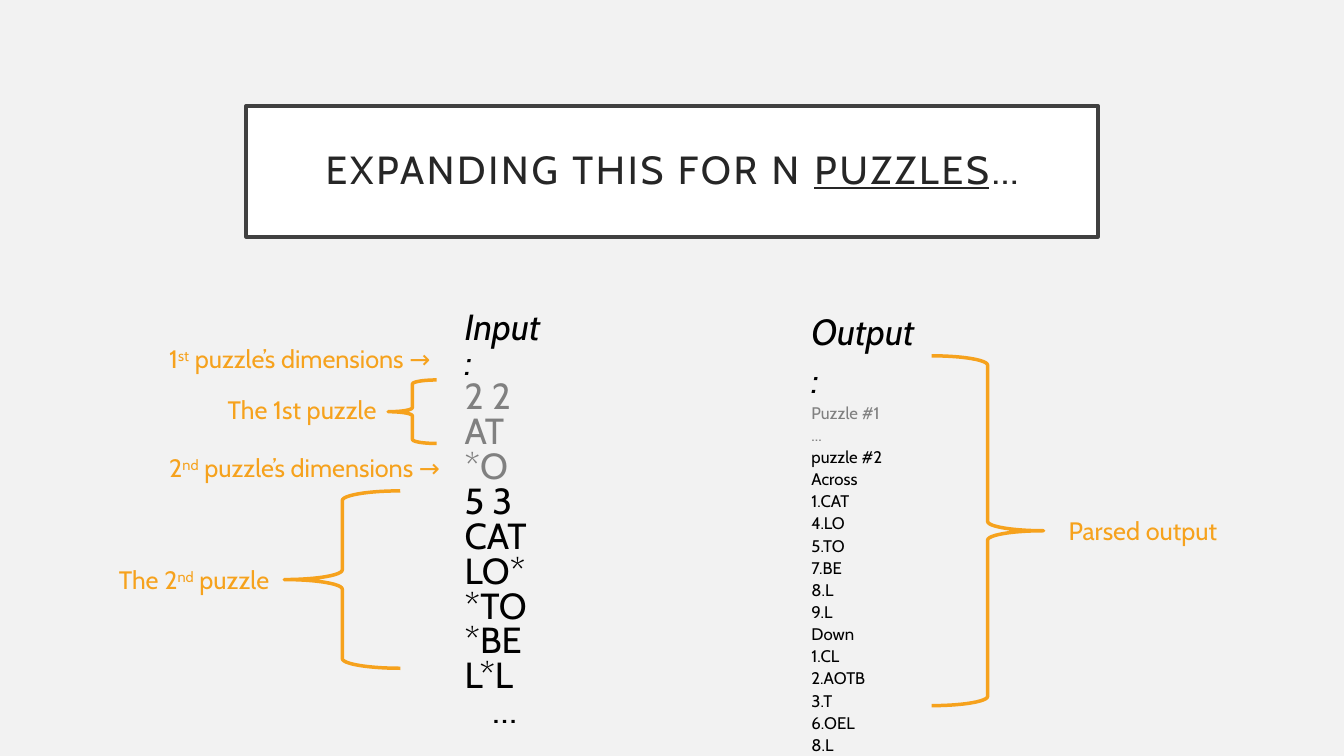
import pptx
import pptx.util
import pptx.dml.color
import pptx.enum.shapes
import pptx.enum.text

Inches = pptx.util.Inches
RGBColor = pptx.dml.color.RGBColor
MSO_SHAPE = pptx.enum.shapes.MSO_SHAPE
PP_ALIGN = pptx.enum.text.PP_ALIGN
MSO_ANCHOR = pptx.enum.text.MSO_ANCHOR

BACKGROUND = RGBColor(0xF2, 0xF2, 0xF2)
WHITE = RGBColor(0xFF, 0xFF, 0xFF)
FRAME = RGBColor(0x40, 0x40, 0x40)
TITLE_INK = RGBColor(0x26, 0x26, 0x26)
BLACK = RGBColor(0, 0, 0)
GREY = RGBColor(0x80, 0x80, 0x80)
ORANGE = RGBColor(0xF6, 0xA2, 0x1D)

INPUT_LINES = ["2 2", "AT", "*O", "5 3", "CAT", "LO*", "*TO", "*BE", "L*L", "…"]
OUTPUT_LINES = ["Puzzle #1", "...", "puzzle #2", "Across", "1.CAT", "4.LO", "5.TO",
                "7.BE", "8.L", "9.L", "Down", "1.CL", "2.AOTB", "3.T", "6.OEL", "8.L"]


def add_run(p, text, size, color, **formats):
    """Add a run in the slide font with extra font formats."""
    r = p.add_run()
    r.text = text
    r.font.color.rgb = color
    formats = {"name": "Cabin", "size": pptx.util.Pt(size), **formats}
    for name, value in formats.items():
        setattr(r.font, name, value)
    return r


def add_textbox(s, box):
    """Add a wrapping text box and return its text frame."""
    tf = s.shapes.add_textbox(*map(Inches, box)).text_frame
    tf.word_wrap = True
    return tf


def add_outlined(s, kind, box, color):
    """Add an unfilled preset shape with a thick outline."""
    sp = s.shapes.add_shape(kind, *map(Inches, box))
    sp.shadow.inherit = False
    sp.fill.background()
    sp.line.color.rgb = color
    sp.line.width = pptx.util.Pt(2.5)
    return sp


def add_title(s, box):
    """Add the framed title with its underlined word."""
    sp = add_outlined(s, MSO_SHAPE.RECTANGLE, box, FRAME)
    sp.fill.solid()
    sp.fill.fore_color.rgb = WHITE
    tf = sp.text_frame
    formats = {"word_wrap": True, "vertical_anchor": MSO_ANCHOR.MIDDLE}
    for side in ("left", "top", "right", "bottom"):
        formats[f"margin_{side}"] = Inches(0.2)
    for name, value in formats.items():
        setattr(tf, name, value)
    p = tf.paragraphs[0]
    p.alignment = PP_ALIGN.CENTER
    p.line_spacing = 0.9
    for text, underline in (("EXPANDING THIS FOR N ", False), ("PUZZLES", True), ("…", False)):
        r = add_run(p, text, 28, TITLE_INK, underline=underline)
        r.font._element.set("spc", "200")


def add_listing(s, box, heading, lines, grey_count, heading_size, size, spacing):
    """Add an italic heading over lines, the first puzzle's lines in grey."""
    tf = add_textbox(s, box)
    p = tf.paragraphs[0]
    p.line_spacing = spacing
    add_run(p, heading, heading_size, BLACK, italic=True)
    for i, line in enumerate(lines):
        p = tf.add_paragraph()
        p.line_spacing = spacing
        add_run(p, line, size, GREY if i < grey_count else BLACK)
    return tf


def add_label(s, left, top, width, start, ordinal="", end=""):
    """Add an orange label whose ordinal ending is superscript."""
    p = add_textbox(s, (left, top, width, 0.4)).paragraphs[0]
    for text, baseline in ((start, 0), (ordinal, 30000), (end, 0)):
        if text:
            r = add_run(p, text, 18, ORANGE)
            r.font._element.set("baseline", str(baseline))


def add_input(s, left, top):
    """Place the input listing with its labels and braces."""
    tf = add_listing(s, (left + 3.43, top, 0.99, 3.95), "Input:", INPUT_LINES, 3, 25.9, 25.9, 0.8)
    tf.paragraphs[-1].alignment = PP_ALIGN.CENTER
    add_label(s, left + 0.5, top + 0.31, 2.9, "1", "st", " puzzle’s dimensions →")
    add_label(s, left + 1.08, top + 0.81, 1.75, "The 1st puzzle")
    add_label(s, left + 0.5, top + 1.39, 2.95, "2", "nd", " puzzle’s dimensions →")
    add_label(s, left, top + 2.5, 1.7, "The 2", "nd", " puzzle")
    for box in ((left + 2.77, top + 0.72, 0.48, 0.63), (left + 1.74, top + 1.82, 1.15, 1.76)):
        add_outlined(s, MSO_SHAPE.LEFT_BRACE, box, ORANGE)


def add_output(s, left, top):
    """Place the output listing with its brace and label."""
    add_listing(s, (left, top, 1.26, 4.12), "Output:", OUTPUT_LINES, 2, 26, 12, 1.1)
    brace = add_outlined(s, MSO_SHAPE.LEFT_BRACE, (left + 1.29, top + 0.56, 1.11, 3.47), ORANGE)
    brace.rotation = 180
    add_label(s, left + 2.55, top + 2.09, 1.68, "Parsed output")


def main():
    """Build and save the slide."""
    prs = pptx.Presentation()
    prs.slide_width, prs.slide_height = Inches(13.33), Inches(7.5)
    s = prs.slides.add_slide(prs.slide_layouts[6])
    s.background.fill.solid()
    s.background.fill.fore_color.rgb = BACKGROUND
    add_title(s, (2.44, 1.05, 8.45, 1.3))
    add_output(s, 7.95, 2.97)
    add_input(s, 1.08, 3.05)
    prs.save("out.pptx")


if __name__ == "__main__":
    main()
